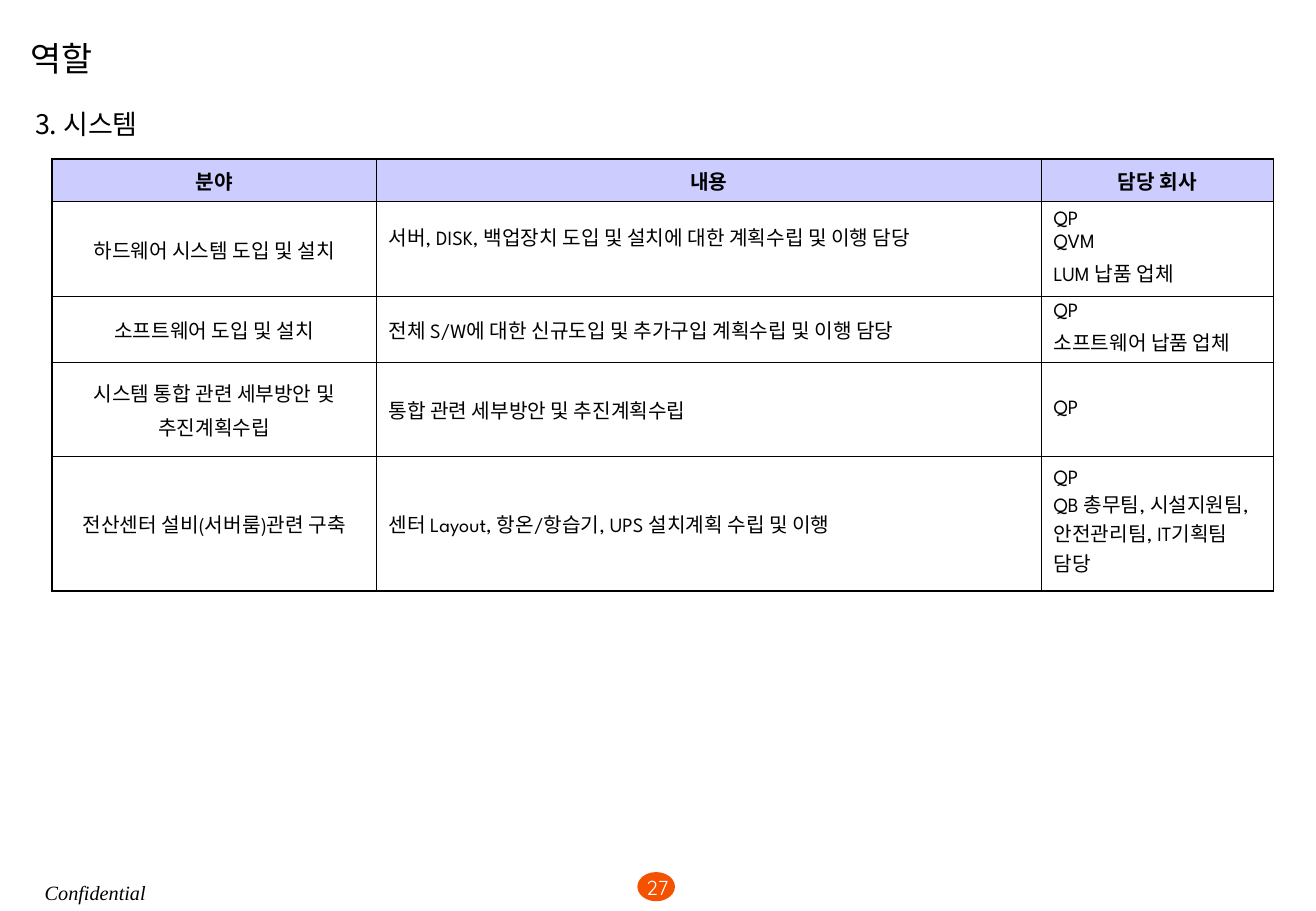
import pptx
import pptx.util
import pptx.dml.color
import pptx.enum.shapes
import pptx.enum.text
import pptx.oxml
import pptx.oxml.ns
import lxml.etree

PX = 9144
LEFT = pptx.enum.text.PP_ALIGN.LEFT
CENTER = pptx.enum.text.PP_ALIGN.CENTER
MIDDLE = pptx.enum.text.MSO_ANCHOR.MIDDLE


def px(n):
    return pptx.util.Emu(n * PX)


def color(hex_code):
    return pptx.dml.color.RGBColor.from_string(hex_code)


class Deck:
    """Hold the style and the current slide, and draw its elements."""

    ink = "000000"
    paper = "FFFFFF"
    header_fill = "CCCCFF"
    badge_fill = "F45100"
    table_font = "League Spartan"
    korean_font = "Noto Sans CJK KR"
    thin, thick = 0.45, 1.08

    def __init__(self, width, height):
        self.prs = pptx.Presentation()
        self.prs.slide_width, self.prs.slide_height = px(width), px(height)
        self.s = self.prs.slides.add_slide(self.prs.slide_layouts[6])

    def paragraphs(self, tf, lines, size, font, ink=None, align=LEFT,
                   bold=False, italic=False, gap=0):
        for i, line in enumerate(lines):
            p = tf.paragraphs[0] if i == 0 else tf.add_paragraph()
            p.text = line
            p.alignment = align
            if i and gap:
                p.space_before = pptx.util.Pt(gap)
            p.font.size = pptx.util.Pt(size)
            p.font.name = font
            p.font.bold = bold
            p.font.italic = italic
            p.font.color.rgb = color(ink or self.ink)
            style = p._p.pPr.find(pptx.oxml.ns.qn("a:defRPr"))
            ea = lxml.etree.SubElement(style, pptx.oxml.ns.qn("a:ea"))
            ea.set("typeface", self.korean_font)

    def text(self, box, line, size, font, anchor=None, **style):
        tf = self.s.shapes.add_textbox(*map(px, box)).text_frame
        tf.word_wrap = True
        if anchor is not None:
            tf.vertical_anchor = anchor
        self.paragraphs(tf, [line], size, font, **style)

    def ellipse(self, box, fill):
        sp = self.s.shapes.add_shape(
            pptx.enum.shapes.MSO_SHAPE.OVAL, *map(px, box))
        sp.shadow.inherit = False
        sp.fill.solid()
        sp.fill.fore_color.rgb = color(fill)
        sp.line.fill.background()

    def borders(self, cell, outer):
        tcPr = cell._tc.get_or_add_tcPr()
        for i, (side, on_edge) in enumerate(outer.items()):
            width = pptx.util.Pt(self.thick if on_edge else self.thin)
            ln = pptx.oxml.parse_xml(
                f'<a:ln{side} {pptx.oxml.ns.nsdecls("a")} w="{width}">'
                f'<a:solidFill><a:srgbClr val="{self.ink}"/></a:solidFill>'
                f'</a:ln{side}>')
            tcPr.insert(i, ln)

    def table(self, left, top, widths, heights, rows):
        box = (left, top, sum(widths), sum(heights))
        table = self.s.shapes.add_table(
            len(rows), len(widths), *map(px, box)).table
        table.first_row = table.horz_banding = False
        for column, width in zip(table.columns, widths):
            column.width = px(width)
        for row, height in zip(table.rows, heights):
            row.height = px(height)
        for r, row in enumerate(rows):
            for c, lines in enumerate(row):
                cell = table.cell(r, c)
                cell.vertical_anchor = MIDDLE
                cell.fill.solid()
                cell.fill.fore_color.rgb = color(
                    self.header_fill if r == 0 else self.paper)
                last_row = r == len(rows) - 1
                last_column = c == len(row) - 1
                self.borders(cell, {"L": c == 0, "R": last_column,
                                    "T": r == 0, "B": last_row})
                self.paragraphs(cell.text_frame, lines, 12, self.table_font,
                                align=CENTER if r == 0 or c == 0 else LEFT,
                                bold=r == 0,
                                gap=0 if last_row else 3)
        return table


ROLES = [
    (["분야"], ["내용"], ["담당 회사"]),
    (["하드웨어 시스템 도입 및 설치"],
     ["서버, DISK, 백업장치 도입 및 설치에 대한 계획수립 및 이행 담당"],
     ["QP", "QVM", "LUM 납품 업체"]),
    (["소프트웨어 도입 및 설치"],
     ["전체 S/W에 대한 신규도입 및 추가구입 계획수립 및 이행 담당"],
     ["QP", "소프트웨어 납품 업체"]),
    (["시스템 통합 관련 세부방안 및", "추진계획수립"],
     ["통합 관련 세부방안 및 추진계획수립"],
     ["QP"]),
    (["전산센터 설비(서버룸)관련 구축"],
     ["센터 Layout, 항온/항습기, UPS 설치계획 수립 및 이행"],
     ["QP", "QB 총무팀, 시설지원팀, 안전관리팀, IT기획팀 담당"]),
]


def main():
    deck = Deck(1084, 750)
    deck.ellipse((525, 718, 31, 24), deck.badge_fill)
    deck.text((502, 716, 79, 32), "27", 12, "Quicksand",
              ink=deck.paper, align=CENTER)
    deck.text((27, 720, 122, 30), "Confidential", 12, "Times New Roman",
              italic=True)
    deck.text((15, 23, 832, 49), "역할", 20, "Quicksand", anchor=MIDDLE)
    deck.text((19, 84, 589, 37), "3. 시스템", 16, deck.korean_font)
    table = deck.table(43, 131, (267, 548, 191), (35, 78, 54, 77, 111), ROLES)
    table.cell(1, 1).margin_bottom = px(25)
    deck.prs.save("out.pptx")


if __name__ == "__main__":
    main()
